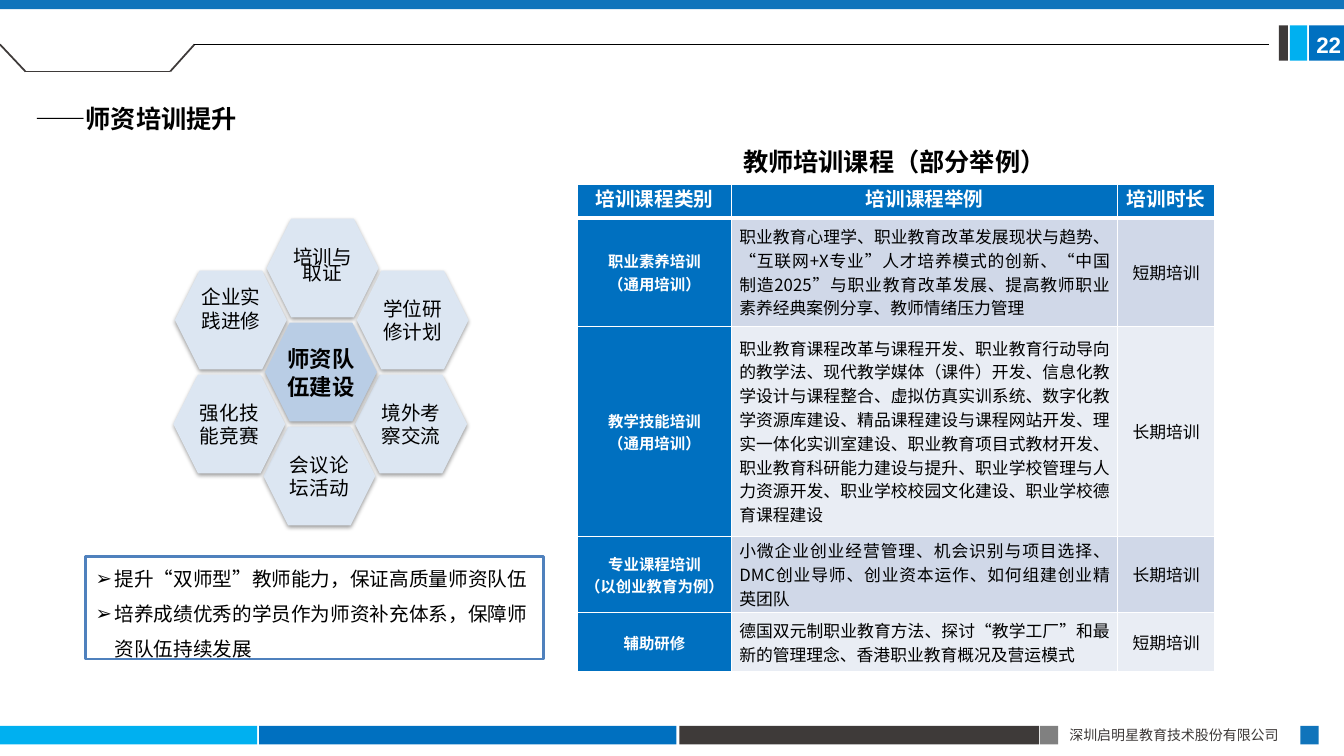
from itertools import pairwise

from lxml import etree
from pptx import Presentation
from pptx.dml.color import RGBColor
from pptx.enum.lang import MSO_LANGUAGE_ID
from pptx.enum.shapes import MSO_CONNECTOR, MSO_SHAPE
from pptx.enum.text import MSO_ANCHOR, PP_ALIGN
from pptx.oxml.ns import qn
from pptx.util import Cm, Pt

RECTANGLE, HEXAGON = MSO_SHAPE.RECTANGLE, MSO_SHAPE.HEXAGON
STRAIGHT = MSO_CONNECTOR.STRAIGHT
LEFT, CENTER, JUSTIFY = PP_ALIGN.LEFT, PP_ALIGN.CENTER, PP_ALIGN.JUSTIFY
MIDDLE = MSO_ANCHOR.MIDDLE
CHINESE = MSO_LANGUAGE_ID.SIMPLIFIED_CHINESE

THEME = {
    "font": "Noto Sans CJK SC", "number font": "Arial",
    "blue": "0070C0", "sky": "00B0F0", "deep": "1074BB", "dark": "3E3A39",
    "gray": "808080", "black": "000000", "white": "FFFFFF", "frame": "4F81BD",
    "petal": "DCE6F2", "core": "B9CDE5", "odd row": "D0D8E8", "even row": "E9EDF4",
    "title": 18, "emphasis": 16, "body": 14, "cell": 12, "category": 11, "footer": 10,
}

# Lengths are centimetres.
SLIDE_SIZE = (33.87, 19.05)
FOOTER_TOP, FOOTER_HEIGHT = 18.29, 0.47
FOOTER_BARS = [(0, 6.48, "sky"), (6.53, 10.52, "blue"), (17.12, 9.07, "dark"),
               (26.21, 0.46, "gray"), (32.77, 0.46, "deep")]
PAGE_TOP, PAGE_HEIGHT = 0.64, 0.89
PAGE_BARS = [(32.99, 0.88, "blue"), (32.51, 0.43, "sky"), (32.23, 0.23, "dark")]
TAB_OUTLINE = [(0, 1.12), (0.64, 1.8), (4.29, 1.8), (4.9, 1.12)]
RULE_END = (31.98, 1.12)
COMPANY = "深圳启明星教育技术股份有限公司"
PAGE_NUMBER = "22"
SECTION_TITLE = "——师资培训提升"
TABLE_TITLE = "教师培训课程（部分举例）"

CORE_TEXT = "师资队伍建设"
CORE_CORNER = (6.68, 8.13)
HEXAGON_SIZE = (2.82, 2.49)
COLUMN_STEP, HALF_ROW_STEP, LEAN = 2.29, 1.31, 0.02
# column, half row, lines, exact line spacing in points, bottom inset
PETALS = [
    (0, -2, ["培训与", "取证"], 12, 0),
    (1, -1, ["学位研修计划"], None, 0),
    (-1, -1, ["企业实践进修"], None, 0.57),
    (1, 1, ["境外考", "察交流"], None, 0),
    (0, 2, ["会议论", "坛活动"], None, 0),
    (-1, 1, ["强化技", "能竞赛"], None, 0),
]

GOALS_BOX = (2.16, 14.02, 11.53, 2.59)
GOALS = ["提升“双师型”教师能力，保证高质量师资队伍",
         "培养成绩优秀的学员作为师资补充体系，保障师资队伍持续发展"]

TABLE_CORNER = (14.55, 4.65)
COLUMN_WIDTHS = [3.89, 9.73, 2.44]
ROW_HEIGHTS = [0.84, 2.74, 5.28, 1.93, 1.49]
HEADER = ["培训课程类别", "培训课程举例", "培训时长"]
COURSES = [
    ("职业素养培训\n（通用培训）",
     "职业教育心理学、职业教育改革发展现状与趋势、“互联网+X专业”人才培养模式的创新、“中国制造2025”"
     "与职业教育改革发展、提高教师职业素养经典案例分享、教师情绪压力管理", "短期培训"),
    ("教学技能培训\n（通用培训）",
     "职业教育课程改革与课程开发、职业教育行动导向的教学法、现代教学媒体（课件）开发、"
     "信息化教学设计与课程整合、虚拟仿真实训系统、数字化教学资源库建设、精品课程建设与课程网站开发、"
     "理实一体化实训室建设、职业教育项目式教材开发、职业教育科研能力建设与提升、"
     "职业学校管理与人力资源开发、职业学校校园文化建设、职业学校德育课程建设", "长期培训"),
    ("专业课程培训\n（以创业教育为例）",
     "小微企业创业经营管理、机会识别与项目选择、DMC创业导师、创业资本运作、如何组建创业精英团队",
     "长期培训"),
    ("辅助研修",
     "德国双元制职业教育方法、探讨“教学工厂”和最新的管理理念、香港职业教育概况及营运模式",
     "短期培训"),
]


def color(name):
    return RGBColor.from_string(THEME[name])


def write(frame, text, size, ink="black", bold=False, align=LEFT, spacing=None, font="font"):
    frame.text = text
    for paragraph in frame.paragraphs:
        paragraph.alignment = align
        paragraph.line_spacing = spacing
        for run in paragraph.runs:
            run.font.size, run.font.bold = Pt(THEME[size]), bold
            run.font.name = THEME[font]
            run.font.language_id = CHINESE
            run.font.color.rgb = color(ink)
            properties = run._r.get_or_add_rPr()
            etree.SubElement(properties, qn("a:ea"), typeface=THEME[font])


def set_insets(frame, left, top, right, bottom):
    frame.margin_left, frame.margin_top = Cm(left), Cm(top)
    frame.margin_right, frame.margin_bottom = Cm(right), Cm(bottom)


def add_block(slide, kind, box, fill=None):
    shape = slide.shapes.add_shape(kind, *map(Cm, box))
    shape.shadow.inherit = False
    shape.line.fill.background()
    if fill:
        shape.fill.solid()
        shape.fill.fore_color.rgb = color(fill)
    else:
        shape.fill.background()
    return shape


def add_label(slide, box, text, size, wrap=False, **style):
    frame = slide.shapes.add_textbox(*map(Cm, box)).text_frame
    frame.word_wrap = wrap
    write(frame, text, size, **style)
    return frame


def add_line(slide, start, end, ink, width):
    line = slide.shapes.add_connector(STRAIGHT, *map(Cm, start + end))
    line.line.color.rgb, line.line.width = color(ink), Pt(width)
    etree.SubElement(line._element.spPr, qn("a:effectLst"))


def add_hexagon(slide, column, half_row, lines, fill, size, bold=False, spacing=None, bottom=0):
    left = CORE_CORNER[0] + column * COLUMN_STEP - half_row * LEAN
    top = CORE_CORNER[1] + half_row * HALF_ROW_STEP
    shape = add_block(slide, HEXAGON, (left, top) + HEXAGON_SIZE, fill)
    shadow = etree.SubElement(
        shape._element.spPr.find(qn("a:effectLst")), qn("a:outerShdw"), dir="5400000",
        blurRad=str(Pt(3.1)), dist=str(Pt(1.6)), rotWithShape="0")
    ink = etree.SubElement(shadow, qn("a:srgbClr"), val=THEME["black"])
    etree.SubElement(ink, qn("a:alpha"), val="38000")
    frame = shape.text_frame
    frame.word_wrap, frame.vertical_anchor = True, MIDDLE
    set_insets(frame, 0, 0, 0, bottom)
    write(frame, "\n".join(lines), size, bold=bold, align=CENTER,
          spacing=Pt(spacing) if spacing else None)


def add_goals(slide):
    shape = add_block(slide, RECTANGLE, GOALS_BOX)
    shape.line.color.rgb, shape.line.width = color("frame"), Pt(2)
    frame = shape.text_frame
    frame.word_wrap, frame.vertical_anchor = True, MIDDLE
    write(frame, "\n".join(GOALS), "body", spacing=1.5)
    for paragraph in frame.paragraphs:
        properties = paragraph._p.get_or_add_pPr()
        properties.set("marL", str(Cm(0.48)))
        properties.set("indent", str(Cm(-0.48)))
        etree.SubElement(properties, qn("a:buFont"), typeface=THEME["number font"])
        etree.SubElement(properties, qn("a:buChar"), char="➢")


def set_borders(cell, top, bottom):
    for side, width in (("L", 1), ("R", 1), ("T", top), ("B", bottom)):
        border = etree.SubElement(cell._tc.get_or_add_tcPr(), qn("a:ln" + side), w=str(Pt(width)))
        paint = etree.SubElement(border, qn("a:solidFill"))
        etree.SubElement(paint, qn("a:srgbClr"), val=THEME["white"])


def add_courses(slide):
    rows = [HEADER] + COURSES
    table = slide.shapes.add_table(
        len(rows), len(HEADER), *map(Cm, TABLE_CORNER),
        Cm(sum(COLUMN_WIDTHS)), Cm(sum(ROW_HEIGHTS))).table
    for column, width in zip(table.columns, COLUMN_WIDTHS):
        column.width = Cm(width)
    for r, (texts, height) in enumerate(zip(rows, ROW_HEIGHTS)):
        table.rows[r].height = Cm(height)
        for c, text in enumerate(texts):
            cell = table.cell(r, c)
            heading = r == 0 or c == 0
            set_borders(cell, top=3 if r == 1 else 1, bottom=3 if r == 0 else 1)
            cell.fill.solid()
            cell.fill.fore_color.rgb = color(
                "blue" if heading else "odd row" if r % 2 else "even row")
            cell.vertical_anchor = MIDDLE
            set_insets(cell, 0.19, 0, 0.19, 0)
            write(cell.text_frame, text,
                  "body" if r == 0 else "category" if c == 0 else "cell",
                  ink="white" if heading else "black", bold=heading,
                  align=JUSTIFY if c == 1 and r else CENTER,
                  spacing=Pt(16 if heading else 17))


def main():
    presentation = Presentation()
    presentation.slide_width, presentation.slide_height = map(Cm, SLIDE_SIZE)
    slide = presentation.slides.add_slide(presentation.slide_layouts[6])

    for left, width, fill in FOOTER_BARS:
        add_block(slide, RECTANGLE, (left, FOOTER_TOP, width, FOOTER_HEIGHT), fill)
    add_label(slide, (26.7, 18.19, 6.1, 0.69), COMPANY, "footer", wrap=True,
              ink="dark", align=JUSTIFY)
    for left, width, fill in PAGE_BARS:
        add_block(slide, RECTANGLE, (left, PAGE_TOP, width, PAGE_HEIGHT), fill)
    add_block(slide, RECTANGLE, (0, 0, SLIDE_SIZE[0], 0.23), "deep")
    for start, end in pairwise(TAB_OUTLINE):
        add_line(slide, start, end, "dark", 1.25)
    add_line(slide, TAB_OUTLINE[-1], RULE_END, "black", 0.5)
    number = add_label(slide, (33.1, 0.66, 0.77, 0.94), PAGE_NUMBER, "emphasis",
                       ink="white", bold=True, align=CENTER, font="number font")
    set_insets(number, 0, 0.13, 0, 0.13)

    for column, half_row, lines, spacing, bottom in PETALS:
        add_hexagon(slide, column, half_row, lines, "petal", "body",
                    spacing=spacing, bottom=bottom)
    add_hexagon(slide, 0, 0, [CORE_TEXT], "core", "emphasis", bold=True, spacing=20)
    add_goals(slide)
    add_courses(slide)
    add_label(slide, (18.44, 3.56, 8.2, 1.02), TABLE_TITLE, "title", bold=True, align=CENTER)
    add_label(slide, (0.64, 2.49, 5.74, 1.02), SECTION_TITLE, "title", bold=True)
    presentation.save("out.pptx")


if __name__ == "__main__":
    main()
